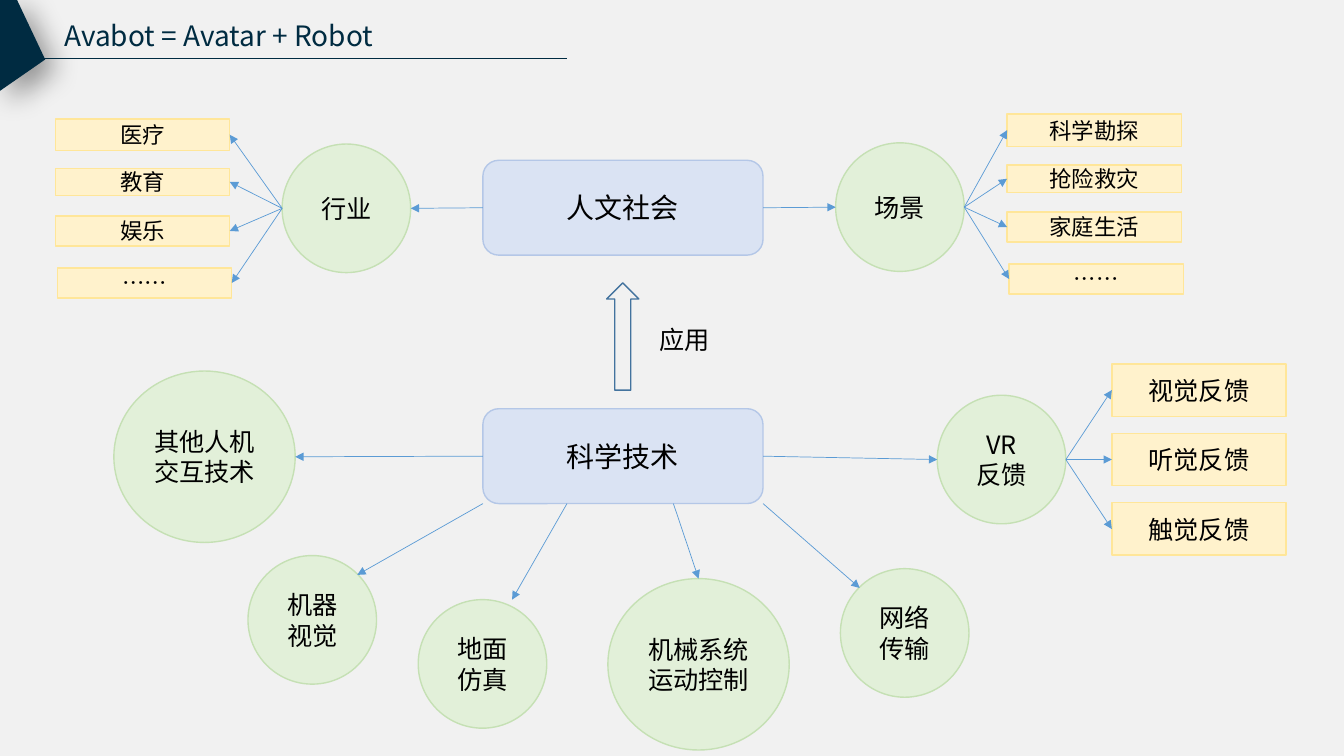
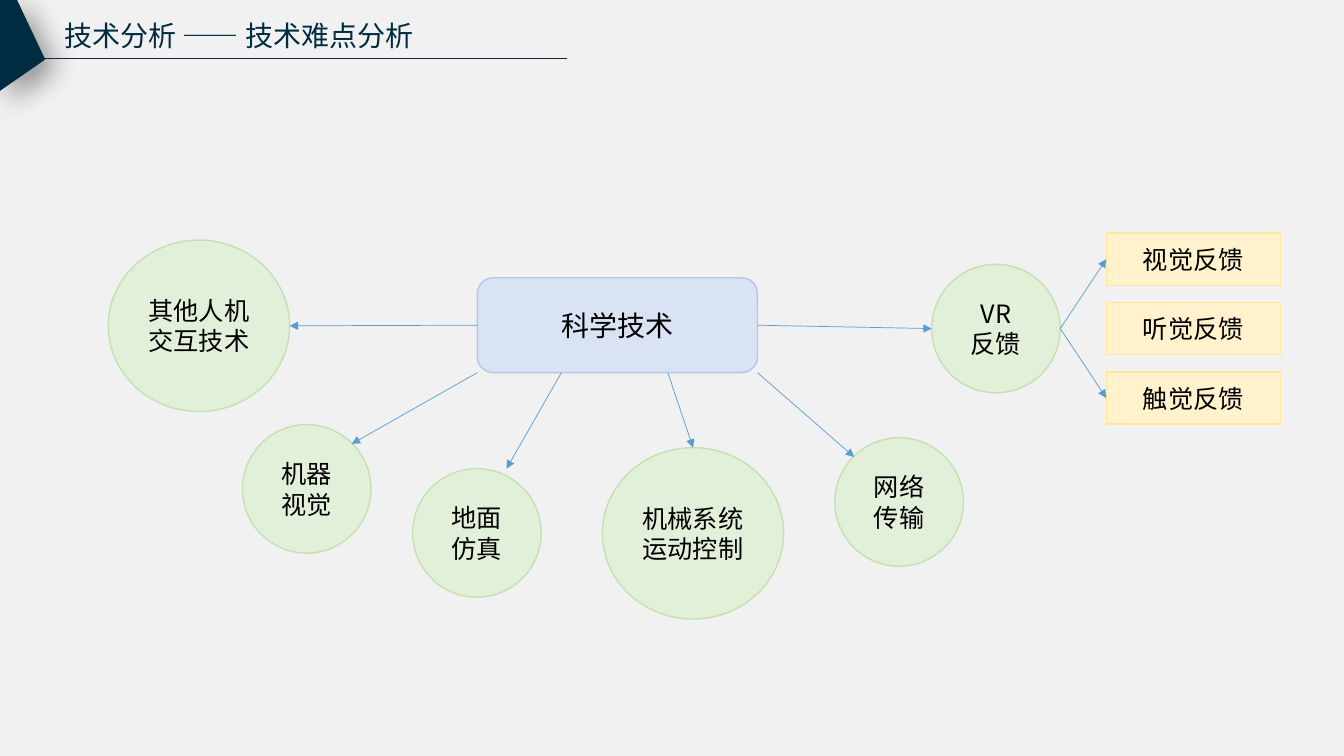
from dataclasses import dataclass

from lxml import etree
from pptx import Presentation
from pptx.dml.color import RGBColor
from pptx.enum import shapes, text
from pptx.oxml.ns import qn
from pptx.util import Cm, Pt

KIND = shapes.MSO_SHAPE


@dataclass(frozen=True)
class Theme:
    font: str = "Noto Sans CJK SC"
    paper: str = "F1F1F1"
    navy: str = "002B41"
    ink: str = "000000"
    arrow: str = "5B9BD5"
    block_arrow: str = "43739E"
    hub: tuple = ("DAE3F3", "B4C7E7")
    circle: tuple = ("E2F0D9", "C5E0B4")
    tag: tuple = ("FFF2CC", "FFE699")
    large: int = 20
    body: int = 18
    small: int = 16


# Points on a shape, as fractions of its width and height
TOP, LEFT, BOTTOM, RIGHT = (0.5, 0), (0, 0.5), (0.5, 1), (1, 0.5)
SITES = {TOP: 0, LEFT: 1, BOTTOM: 2, RIGHT: 3}
BOTTOM_LEFT, BOTTOM_RIGHT = (0, 1), (1, 1)
ARC_TOP_LEFT, ARC_TOP_RIGHT = (0.15, 0.15), (0.85, 0.15)

# Shared sizes in cm
HUB_SIZE = (7.06, 2.39)
SMALL_CIRCLE = (3.24, 3.24)
LARGE_CIRCLE = (4.57, 4.32)
TAG_WIDTH = 4.39


def color(value):
    return RGBColor.from_string(value)


def point(sp, spot):
    return int(sp.left + sp.width * spot[0]), int(sp.top + sp.height * spot[1])


class Deck:
    def __init__(self, theme):
        self.t = theme
        self.prs = Presentation()
        self.prs.slide_width, self.prs.slide_height = Cm(33.87), Cm(19.05)
        self.s = None

    def new_slide(self, title):
        self.s = self.prs.slides.add_slide(self.prs.slide_layouts[6])
        fill = self.s.background.fill
        fill.solid()
        fill.fore_color.rgb = color(self.t.paper)
        self.label(title, 1.37, 0.33, 9.3, 1.12, self.t.large, self.t.navy, wrap=False)
        self.corner()
        self.line((Cm(0.56), Cm(1.48)), (Cm(14.3), Cm(1.48)), self.t.navy, 0.63)

    def corner(self):
        start, *rest = [(Cm(x), Cm(y)) for x, y in
                        [(0.43, 0), (0, 0), (0, 2.29), (1.14, 1.5)]]
        builder = self.s.shapes.build_freeform(*start)
        builder.add_line_segments(rest, close=True)
        sp = builder.convert_to_shape()
        self.paint(sp, self.t.navy, None)
        # Soft shadow towards the lower right
        effects = sp._element.spPr.find(qn("a:effectLst"))
        shadow = etree.SubElement(effects, qn("a:outerShdw"), blurRad=str(Pt(20)),
                                  dist=str(Pt(10)), dir="2700000", algn="tl",
                                  rotWithShape="0")
        black = etree.SubElement(shadow, qn("a:srgbClr"), val=self.t.ink)
        etree.SubElement(black, qn("a:alpha"), val="40000")

    def paint(self, sp, fill, line):
        sp.shadow.inherit = False
        for part, value in ((sp.fill, fill), (sp.line.fill, line)):
            if value is None:
                part.background()
            else:
                part.solid()
                part.fore_color.rgb = color(value)
        if line:
            sp.line.width = Pt(1)

    def set_text(self, tf, words, size, ink, align):
        tf.text = words
        for p in tf.paragraphs:
            p.alignment = align
            p.font.size = Pt(size)
            p.font.color.rgb = color(ink)
            p.font.name = self.t.font
            props = p._p.pPr.find(qn("a:defRPr"))
            etree.SubElement(props, qn("a:ea"), typeface=self.t.font)

    def label(self, words, x, y, w, h, size, ink, wrap=True):
        tf = self.s.shapes.add_textbox(Cm(x), Cm(y), Cm(w), Cm(h)).text_frame
        tf.word_wrap = wrap
        tf.auto_size = text.MSO_AUTO_SIZE.SHAPE_TO_FIT_TEXT
        self.set_text(tf, words, size, ink, text.PP_ALIGN.LEFT)

    def node(self, kind, words, x, y, w, h, colors, size):
        sp = self.s.shapes.add_shape(kind, Cm(x), Cm(y), Cm(w), Cm(h))
        self.paint(sp, *colors)
        sp.text_frame.word_wrap = True
        sp.text_frame.vertical_anchor = text.MSO_ANCHOR.MIDDLE
        self.set_text(sp.text_frame, words, size, self.t.ink, text.PP_ALIGN.CENTER)
        return sp

    def hub(self, words, x, y):
        return self.node(KIND.ROUNDED_RECTANGLE, words, x, y, *HUB_SIZE,
                         self.t.hub, self.t.large)

    def circle(self, words, x, y, size=SMALL_CIRCLE):
        return self.node(KIND.OVAL, words, x, y, *size, self.t.circle, self.t.body)

    def tag(self, words, x, y, h, size):
        return self.node(KIND.RECTANGLE, words, x, y, TAG_WIDTH, h, self.t.tag, size)

    def block_arrow(self, x, y, w, h):
        sp = self.s.shapes.add_shape(KIND.UP_ARROW, Cm(x), Cm(y), Cm(w), Cm(h))
        self.paint(sp, None, self.t.block_arrow)

    def line(self, start, end, ink, width):
        c = self.s.shapes.add_connector(shapes.MSO_CONNECTOR.STRAIGHT, *start, *end)
        c.line.color.rgb = color(ink)
        c.line.width = Pt(width)
        etree.SubElement(c._element.spPr, qn("a:effectLst"))
        return c

    def arrow(self, source, source_spot, target, target_spot):
        c = self.line(point(source, source_spot), point(target, target_spot),
                      self.t.arrow, 0.5)
        etree.SubElement(c._element.spPr.find(qn("a:ln")), qn("a:tailEnd"),
                         type="triangle")
        for sp, spot, connect in ((source, source_spot, c.begin_connect),
                                  (target, target_spot, c.end_connect)):
            if sp.auto_shape_type != KIND.OVAL and spot in SITES:
                connect(sp, SITES[spot])

    def fan(self, circle, side, tags):
        facing = LEFT if side == RIGHT else RIGHT
        for tag in tags:
            self.arrow(circle, side, tag, facing)


def technology(deck, dx=0, dy=0, skipped=()):
    """Technology hub with its circles, moved by dx and dy."""
    hub = deck.hub("科学技术", 12.17 + dx, 10.3 + dy)
    branches = [
        ("其他人机交互技术", 2.87, 9.35, LARGE_CIRCLE, LEFT, RIGHT),
        ("机器视觉", 6.25, 14, SMALL_CIRCLE, BOTTOM_LEFT, ARC_TOP_RIGHT),
        ("地面仿真", 10.54, 15.11, SMALL_CIRCLE, (0.3, 1), (0.73, 0)),
        ("机械系统\n运动控制", 15.32, 14.58, LARGE_CIRCLE, (0.68, 1), TOP),
        ("网络传输", 21.18, 14.33, SMALL_CIRCLE, BOTTOM_RIGHT, ARC_TOP_LEFT),
        ("VR\n反馈", 23.62, 9.96, SMALL_CIRCLE, RIGHT, LEFT),
    ]
    for words, x, y, size, hub_spot, circle_spot in branches:
        circle = deck.circle(words, x + dx, y + dy, size)
        deck.arrow(hub, hub_spot, circle, circle_spot)
    # The last circle, VR feedback, fans out into senses
    senses = [deck.tag(f"{sense}反馈", 28.02 + dx, 9.17 + 1.75 * i + dy, 1.32, deck.t.body)
              for i, sense in enumerate(("视觉", "听觉", "触觉"))]
    deck.fan(circle, RIGHT, [tag for i, tag in enumerate(senses) if i not in skipped])


def society(deck):
    """Society hub with industries on the left and scenes on the right."""
    hub = deck.hub("人文社会", 12.17, 4.04)
    sides = [
        ("行业", 7.11, 3.63, LEFT, RIGHT,
         [("医疗", 1.4, 3, 0.79), ("教育", 1.4, 4.24, 0.69),
          ("娱乐", 1.4, 5.44, 0.76), ("……", 1.45, 6.75, 0.76)]),
        ("场景", 21.06, 3.6, RIGHT, LEFT,
         [("科学勘探", 25.38, 2.87, 0.82), ("抢险救灾", 25.38, 4.16, 0.69),
          ("家庭生活", 25.38, 5.34, 0.76), ("……", 25.43, 6.65, 0.76)]),
    ]
    for words, x, y, outer, inner, tags in sides:
        circle = deck.circle(words, x, y)
        deck.arrow(hub, outer, circle, inner)
        deck.fan(circle, outer, [deck.tag(*tag, deck.t.small) for tag in tags])


def main():
    deck = Deck(Theme())

    # Slide 1: technology applied to society
    deck.new_slide("Avabot = Avatar + Robot")
    technology(deck)
    society(deck)
    deck.block_arrow(15.29, 7.13, 0.81, 2.7)
    deck.label("应用", 16.36, 8.05, 1.96, 1.02, deck.t.body, deck.t.ink)

    # Slide 2: technical difficulties
    deck.new_slide("技术分析 —— 技术难点分析")
    technology(deck, dx=-0.14, dy=-3.3, skipped=(1,))

    deck.prs.save("out.pptx")


if __name__ == "__main__":
    main()
